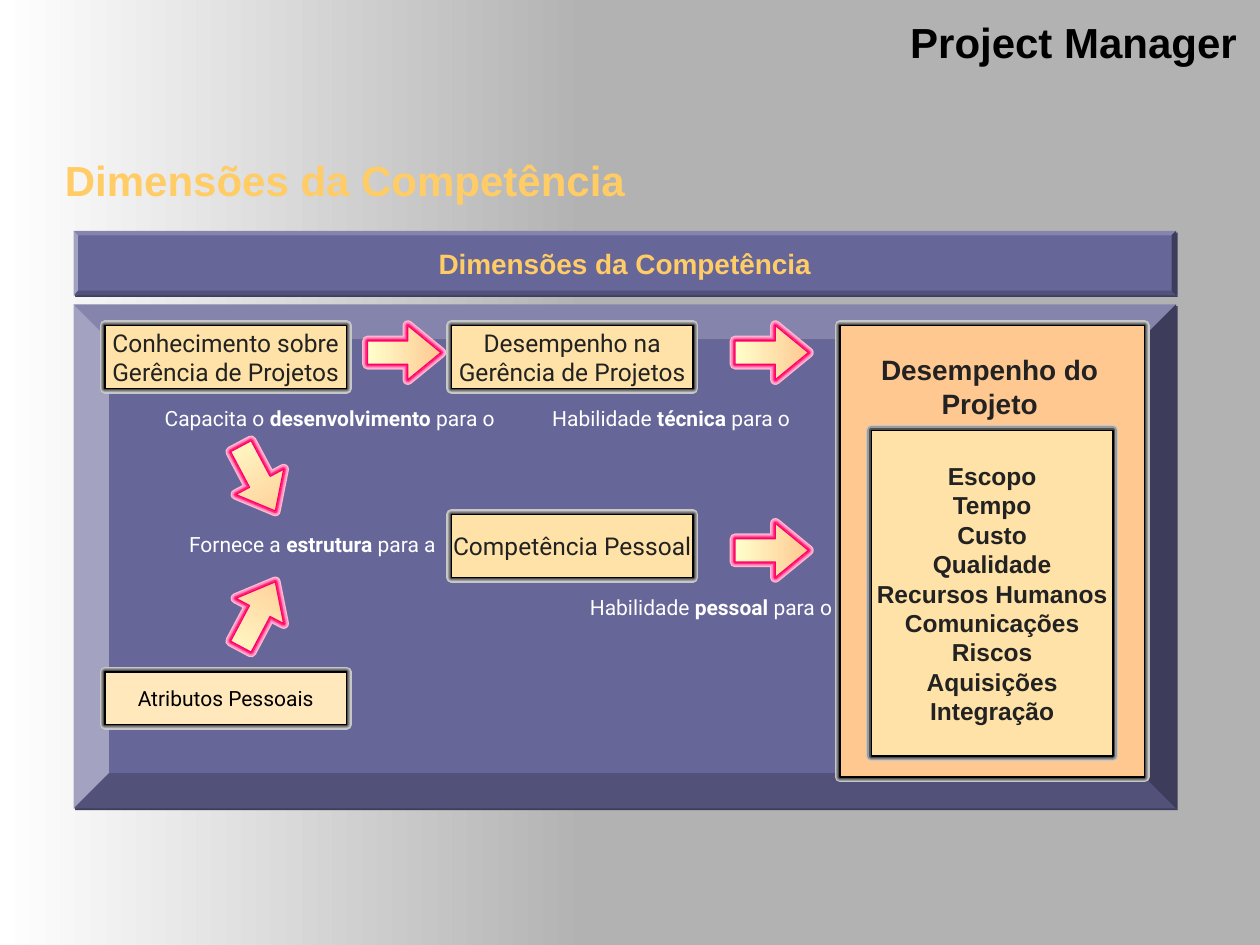
from lxml.etree import SubElement
from pptx import Presentation
from pptx.dml.color import RGBColor
from pptx.enum.shapes import MSO_SHAPE
from pptx.enum.text import MSO_ANCHOR, PP_ALIGN
from pptx.oxml.ns import qn
from pptx.util import Pt

HUES = {
    "back": "B2B2B2", "white": "FFFFFF", "black": "000000", "ink": "222222",
    "gold": "FFCC66", "panel": "666699", "shade": "3D3D5C",
    "peach": "FFC891", "cream": "FFE2A7", "pale": "FFE8BB", "light": "FFFFCC",
}
WIDTHS = [6, 4.5, 3, 2.25, 0.75]
GREYS = ["C7C7C7", "9C9C9C", "7A7A7A", "4D4D4D", "000000"]
PINKS = ["FFB7D4", "FF91BE", "FF69A6", "FF277E", "FF0066"]
AREAS = ["Escopo", "Tempo", "Custo", "Qualidade", "Recursos Humanos",
         "Comunicações", "Riscos", "Aquisições", "Integração"]


def rgb(name):
    """Return the colour for a palette name or a hex string."""
    return RGBColor.from_string(HUES.get(name, name))


def blend(shape, start, end):
    """Fill a shape with a gradient from left to right."""
    shape.fill.gradient()
    shape.fill.gradient_angle = 0
    for stop, name in zip(shape.fill.gradient_stops, (start, end)):
        stop.color.rgb = rgb(name)


def cast(props, hue, dist):
    """Add an outer shadow down and to the right."""
    effects = SubElement(props, qn("a:effectLst"))
    outer = SubElement(effects, qn("a:outerShdw"), dist=str(Pt(dist)),
                       dir="2700000", algn="ctr")
    SubElement(outer, qn("a:srgbClr"), val=HUES[hue])


def style(run, size, face, hue, bold=False):
    """Format one run."""
    font = run.font
    font.size, font.name, font.bold = Pt(size), face, bold
    font.color.rgb = rgb(hue)


def write(shape, text, size, face, hue, bold=False):
    """Put centred lines of text in the middle of a shape."""
    frame = shape.text_frame
    frame.word_wrap = False
    frame.vertical_anchor = MSO_ANCHOR.MIDDLE
    frame.text = text
    for para in frame.paragraphs:
        para.alignment = PP_ALIGN.CENTER
        for run in para.runs:
            style(run, size, face, hue, bold)


def label(slide, box, parts, size=12, face="Roboto", hue="white",
          align=PP_ALIGN.LEFT, glow=True):
    """Place a text box made of plain and bold parts."""
    frame = slide.shapes.add_textbox(*map(Pt, box)).text_frame
    frame.word_wrap = True
    para = frame.paragraphs[0]
    para.alignment = align
    for text, bold in parts:
        run = para.add_run()
        run.text = text
        style(run, size, face, hue, bold)
        if glow:
            cast(run.font.fill._xPr, "black", 1.5)


def stack(slide, kind, box, lines, paint):
    """Layer outlines of falling width and return the top shape."""
    group = slide.shapes.add_group_shape()
    for width, line in zip(WIDTHS, lines):
        shape = group.shapes.add_shape(kind, *map(Pt, box))
        shape.shadow.inherit = False
        shape.line.width = Pt(width)
        shape.line.color.rgb = rgb(line)
        paint(shape)
    return shape


def card(slide, box, hue="cream"):
    """Draw a box with a grey frame."""
    def paint(shape):
        """Fill the box with one colour."""
        shape.fill.solid()
        shape.fill.fore_color.rgb = rgb(hue)
    return stack(slide, MSO_SHAPE.RECTANGLE, box, GREYS, paint)


def arrow(slide, left, top, turn=0):
    """Draw a glowing block arrow."""
    def paint(shape):
        """Shape, turn and fill the arrow."""
        shape.adjustments[0], shape.adjustments[1] = 0.43, 0.61
        shape.rotation = turn
        blend(shape, "light", "peach")
    stack(slide, MSO_SHAPE.RIGHT_ARROW, (left, top, 42, 31), PINKS, paint)


def bevel(slide, box, edge):
    """Draw a raised panel with a given edge ratio."""
    shape = slide.shapes.add_shape(MSO_SHAPE.BEVEL, *map(Pt, box))
    shape.adjustments[0] = edge
    shape.fill.solid()
    shape.fill.fore_color.rgb = rgb("panel")
    shape.line.fill.background()
    cast(shape._element.spPr, "shade", 1.4)
    return shape


def header(slide, box):
    """Paint the backdrop and place both titles."""
    left, top, width, height = box
    slide.background.fill.solid()
    slide.background.fill.fore_color.rgb = rgb("back")
    strip = slide.shapes.add_shape(MSO_SHAPE.RECTANGLE, Pt(left), Pt(top),
                                   Pt(336), Pt(height))
    strip.shadow.inherit = False
    strip.line.fill.background()
    blend(strip, "white", "back")
    label(slide, (left + 513, top + 6, width - 513, 36),
          [("Project Manager", True)], 24, "Arial", "black")
    label(slide, (left + 30, top + 85, 360, 36),
          [("Dimensões da Competência", True)], 24, "Arial", "gold")


def result(slide, box):
    """Place the project performance card and its list."""
    left, top, width, height = box
    card(slide, box, "peach")
    inner = card(slide, (left + 18, top + 60, width - 36, height - 72))
    write(inner, "\n".join(AREAS), 14, "Arial", "ink", True)
    label(slide, (left + 6, top + 12, width - 15, 46),
          [("Desempenho do Projeto", True)], 16, "Arial", "ink",
          PP_ALIGN.CENTER, False)


def flow(slide, box):
    """Place the cards, arrows and notes of the flow."""
    left, top = box[:2]
    cards = [
        (18, 12, 36, "cream", "Conhecimento sobre\nGerência de Projetos"),
        (216, 12, 36, "cream", "Desempenho na\nGerência de Projetos"),
        (216, 120, 36, "cream", "Competência Pessoal"),
        (18, 210, 30, "pale", "Atributos Pessoais"),
    ]
    for across, down, tall, hue, text in cards:
        shape = card(slide, (left + across, top + down, 138, tall), hue)
        size, ink = (12, "black") if hue == "pale" else (14, "ink")
        write(shape, text, size, "Roboto", ink)
    notes = [
        (45, 54, 220, "Capacita o ", "desenvolvimento ", "para o"),
        (266.5, 54, 160, "Habilidade ", "técnica ", "para o"),
        (288, 162, 160, "Habilidade ", "pessoal ", "para o"),
        (46, 126, 168, "Fornece a ", "estrutura ", "para a"),
    ]
    for across, down, wide, start, strong, end in notes:
        align = PP_ALIGN.RIGHT if start == "Fornece a " else PP_ALIGN.LEFT
        label(slide, (left + across, top + down, wide, 22),
              [(start, False), (strong, True), (end, False)], align=align)
    for across, down, turn in [(168, 12, 0), (378, 12, 0), (378, 125, 0),
                               (84.5, 84, 62), (84.5, 161.5, 298)]:
        arrow(slide, left + across, top + down, turn)


def main():
    """Build the slide and save it."""
    deck = Presentation()
    deck.slide_width, deck.slide_height = Pt(720), Pt(540)
    slide = deck.slides.add_slide(deck.slide_layouts[6])
    header(slide, (0, 0, 720, 540))
    banner = bevel(slide, (42, 132, 630, 36.75), 0.07)
    write(banner, "Dimensões da Competência", 16, "Arial", "gold", True)
    panel = (42, 174, 630, 288)
    bevel(slide, panel, 0.07)
    result(slide, (480, 186, 174, 258))
    flow(slide, panel)
    deck.save("out.pptx")


if __name__ == "__main__":
    main()
